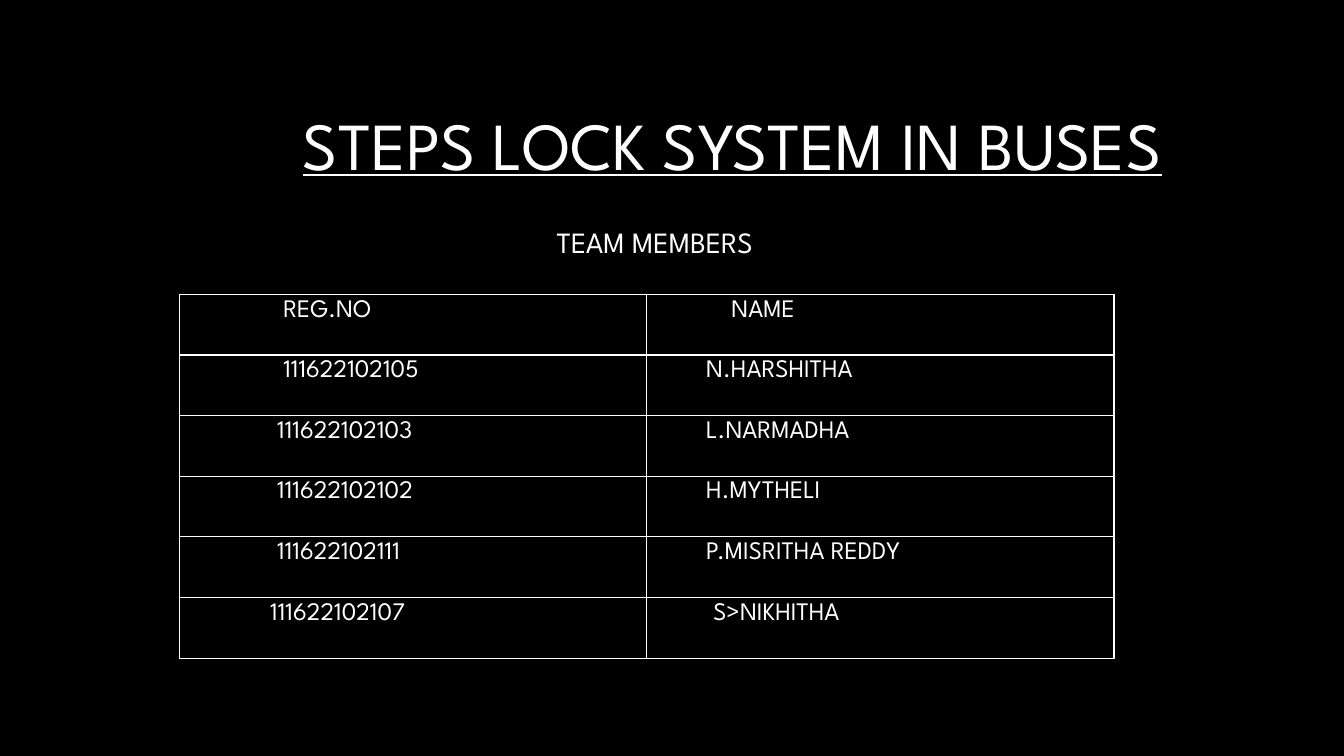
"""Build the title slide with the team members table."""
from lxml.etree import SubElement
from pptx import Presentation
from pptx.dml.color import RGBColor
from pptx.enum.text import MSO_ANCHOR, MSO_AUTO_SIZE, PP_ALIGN
from pptx.oxml.ns import qn
from pptx.util import Inches, Pt

FONT = "League Spartan"
WHITE = "FFFFFF"
BLACK = "000000"


def color(hex_string):
    return RGBColor.from_string(hex_string)


def format_paragraph(paragraph, size, alignment):
    paragraph.alignment = alignment
    paragraph.font.name = FONT
    paragraph.font.size = Pt(size)
    paragraph.font.color.rgb = color(WHITE)


presentation = Presentation()
presentation.slide_width = Inches(13.33)
presentation.slide_height = Inches(7.5)
slide = presentation.slides.add_slide(presentation.slide_layouts[0])
slide.background.fill.solid()
slide.background.fill.fore_color.rgb = color(BLACK)

title, subtitle = slide.placeholders
headings = [
    (title, "STEPS LOCK SYSTEM IN BUSES", 48, MSO_ANCHOR.BOTTOM, (0.81, 0.38, 12.91, 1.5)),
    (subtitle, "TEAM MEMBERS", 21, MSO_ANCHOR.TOP, (1.01, 2.17, 10.97, 4.95)),
]
for shape, text, size, anchor, box in headings:
    shape.left, shape.top, shape.width, shape.height = map(Inches, box)
    text_frame = shape.text_frame
    text_frame.text = text
    text_frame.auto_size = MSO_AUTO_SIZE.NONE
    text_frame.vertical_anchor = anchor
    format_paragraph(text_frame.paragraphs[0], size, PP_ALIGN.CENTER)
title.text_frame.paragraphs[0].font.underline = True
subtitle.text_frame.paragraphs[0].space_before = Pt(4)
subtitle.text_frame.paragraphs[0].space_after = Pt(6)

members = [
    [("REG.NO", 1.03), ("NAME", 0.84)],
    [("111622102105", 1.03), ("N.HARSHITHA", 0.59)],
    [("111622102103", 0.97), ("L.NARMADHA", 0.59)],
    [("111622102102", 0.97), ("H.MYTHELI", 0.59)],
    [("111622102111", 0.97), ("P.MISRITHA REDDY", 0.59)],
    [("111622102107", 0.9), ("S>NIKHITHA", 0.66)],
]
table = slide.shapes.add_table(
    len(members), 2, Inches(1.78), Inches(2.92), Inches(9.27), Inches(3.61)
).table
table.first_row = False
table.horz_banding = False
for row_index, member in enumerate(members):
    for column_index, (text, indent) in enumerate(member):
        cell = table.cell(row_index, column_index)
        cell.text = text
        cell.margin_left = Inches(indent)
        format_paragraph(cell.text_frame.paragraphs[0], 18, PP_ALIGN.LEFT)
        properties = cell._tc.get_or_add_tcPr()
        for side in ("a:lnL", "a:lnR", "a:lnT", "a:lnB"):
            border = SubElement(properties, qn(side), w=str(Pt(1)))
            border_fill = SubElement(border, qn("a:solidFill"))
            SubElement(border_fill, qn("a:srgbClr"), val=WHITE)
        cell.fill.background()

presentation.save("out.pptx")
